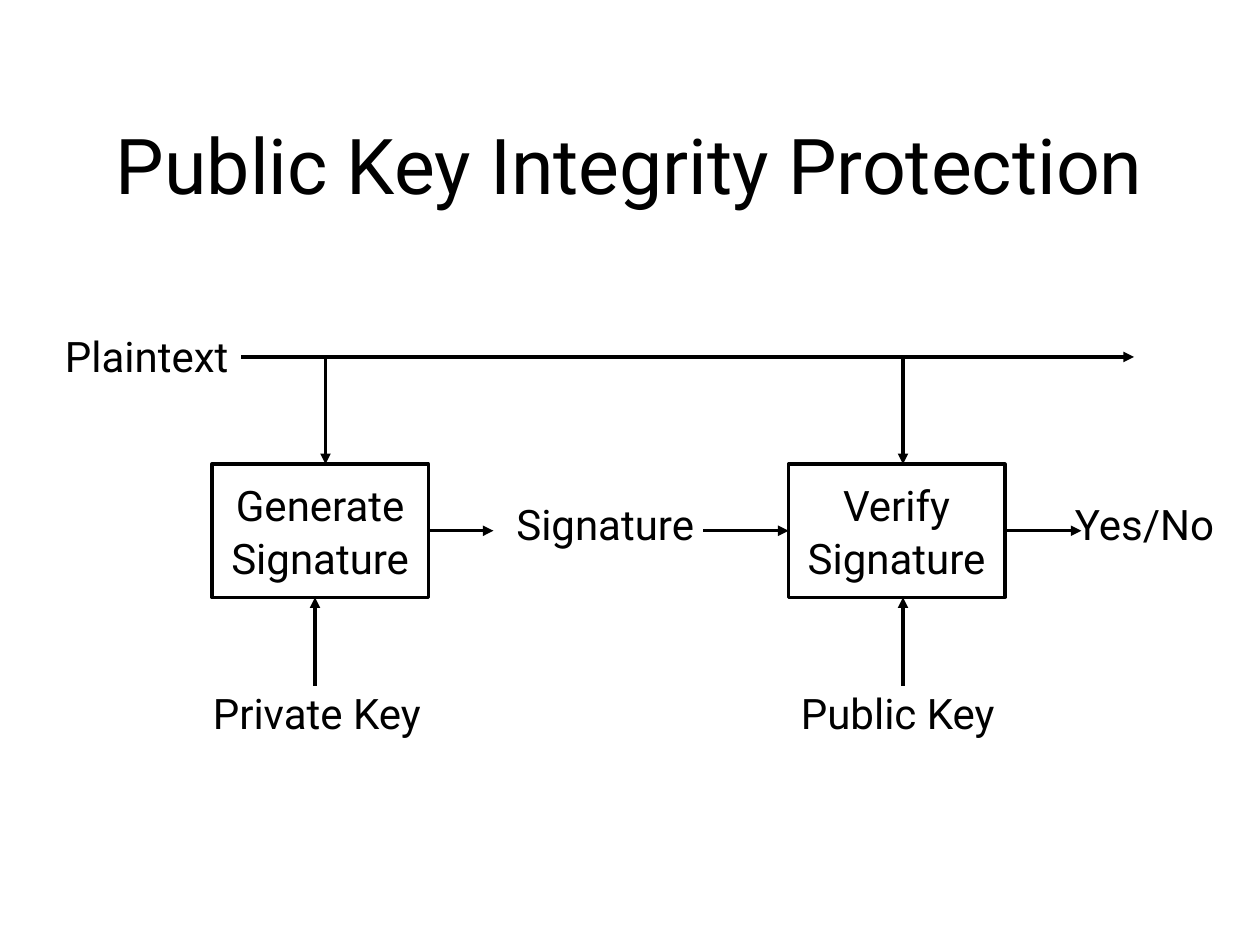
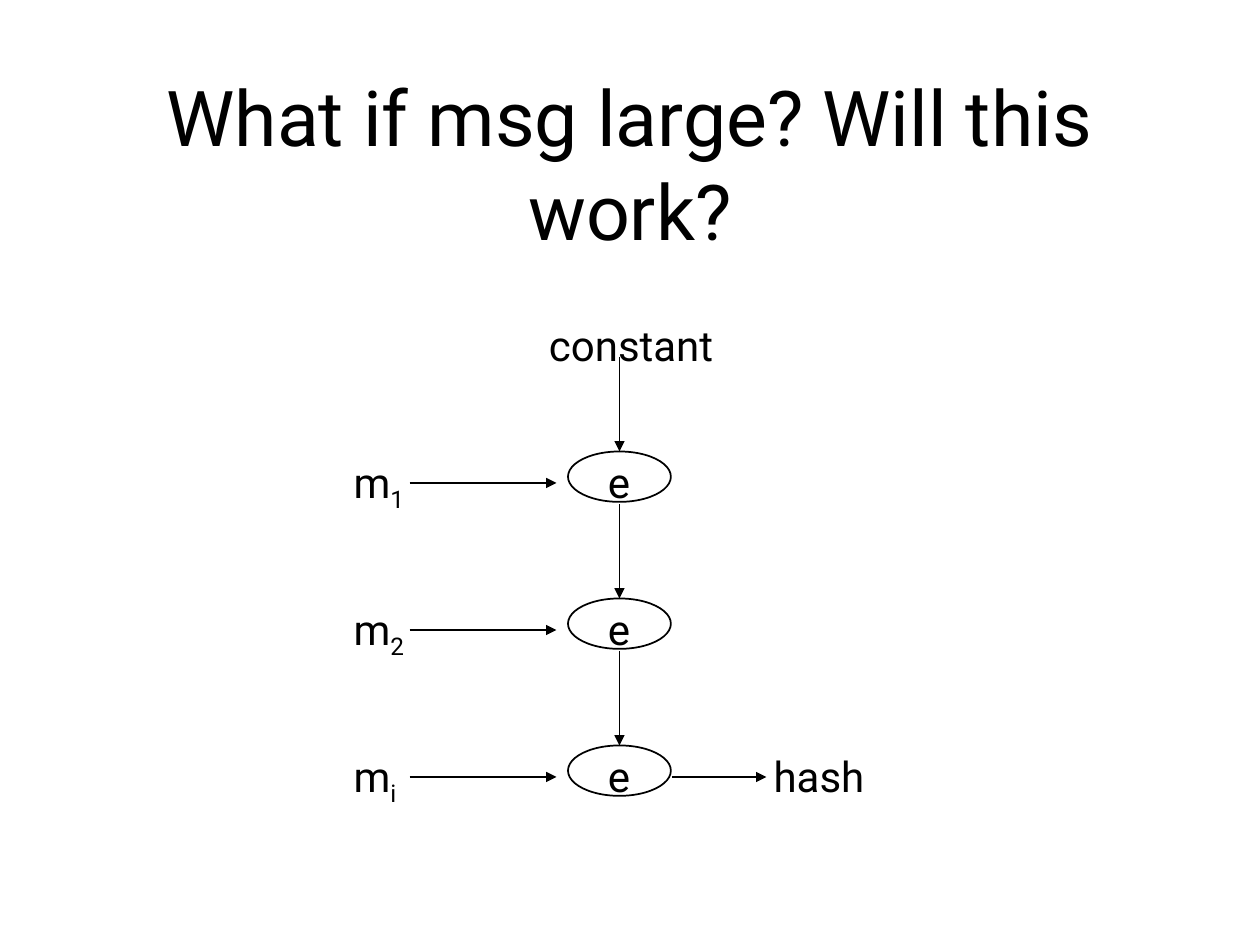
from lxml import etree
from pptx import Presentation
from pptx import util as u
from pptx.dml.color import RGBColor
from pptx.enum import shapes, text
from pptx.oxml.ns import qn

COLORS = {"ink": "000000", "paper": "FFFFFF"}
FONT = "Roboto"
TITLE_SIZE, LABEL_SIZE = 44, 24
COLS, ROWS = 120, 90
LEFT, CENTER = text.PP_ALIGN.LEFT, text.PP_ALIGN.CENTER


def rgb(name):
    return RGBColor.from_string(COLORS[name])


def assign(obj, **values):
    for key, value in values.items():
        setattr(obj, key, value)


class Deck:
    def __init__(self):
        self.prs = Presentation()
        assign(self.prs, slide_width=u.Inches(10), slide_height=u.Inches(7.5))
        self.s = None

    def x(self, cols):
        return round(self.prs.slide_width * cols / COLS)

    def y(self, rows):
        return round(self.prs.slide_height * rows / ROWS)

    def box(self, col, row, width, height):
        return self.x(col), self.y(row), self.x(width), self.y(height)

    def put_text(self, tf, lines, size, align, sub=""):
        for i, line in enumerate(lines):
            p = tf.paragraphs[0] if i == 0 else tf.add_paragraph()
            assign(p, alignment=align, line_spacing=1.06 if i else 1.01)
            for part in filter(None, (line, sub)):
                r = p.add_run()
                r.text = part
                assign(r.font, name=FONT, size=u.Pt(size))
                r.font.color.rgb = rgb("ink")
                if part == sub:
                    r._r.get_or_add_rPr().set("baseline", "-25000")

    def slide(self, title, row, height):
        self.s = self.prs.slides.add_slide(self.prs.slide_layouts[5])
        self.s.background.fill.solid()
        self.s.background.fill.fore_color.rgb = rgb("paper")
        sp = self.s.shapes.title
        sp.left, sp.top, sp.width, sp.height = self.box(9, row, 102, height)
        assign(sp.text_frame, word_wrap=True, auto_size=text.MSO_AUTO_SIZE.NONE,
               vertical_anchor=text.MSO_ANCHOR.MIDDLE)
        self.put_text(sp.text_frame, [title], TITLE_SIZE, CENTER)

    def label(self, words, col, row, width, sub=""):
        sp = self.s.shapes.add_textbox(*self.box(col, row, width, 6.7 if sub else 6.1))
        assign(sp.text_frame, word_wrap=False,
               auto_size=text.MSO_AUTO_SIZE.SHAPE_TO_FIT_TEXT)
        self.put_text(sp.text_frame, [words], LABEL_SIZE, LEFT, sub)

    def shape(self, kind, col, row, width, height, weight, lines=()):
        sp = self.s.shapes.add_shape(kind, *self.box(col, row, width, height))
        sp.shadow.inherit = False
        sp.fill.background()
        sp.line.color.rgb = rgb("ink")
        sp.line.width = u.Pt(weight)
        assign(sp.text_frame, word_wrap=False,
               vertical_anchor=text.MSO_ANCHOR.MIDDLE)
        self.put_text(sp.text_frame, lines, LABEL_SIZE, CENTER)
        return sp

    def arrow(self, x1, y1, x2, y2, weight, begin=None, end=None):
        c = self.s.shapes.add_connector(
            shapes.MSO_CONNECTOR.STRAIGHT,
            self.x(x1), self.y(y1), self.x(x2), self.y(y2))
        if begin:
            c.begin_connect(*begin)
        if end:
            c.end_connect(*end)
        c.line.color.rgb = rgb("ink")
        c.line.width = u.Pt(weight)
        spPr = c._element.spPr
        etree.SubElement(spPr.find(qn("a:ln")), qn("a:tailEnd"), type="triangle")
        etree.SubElement(spPr, qn("a:effectLst"))


def integrity_slide(d):
    d.slide("Public Key Integrity Protection", 6, 19)
    weight, top, height, width = 2, 44.2, 12.7, 20.6
    middle, bottom, wire = top + height / 2, top + height, 34
    steps = []
    for verb, col in (("Generate", 20.2), ("Verify", 75.1)):
        sp = d.shape(shapes.MSO_SHAPE.ROUNDED_RECTANGLE, col, top, width, height,
                     weight, [verb, "Signature"])
        sp.adjustments[0] = 0
        steps.append(sp)
    generate, verify = steps

    for words, col, row, label_width in (
            ("Signature", 48, 46.8, 20.6), ("Plaintext", 5, 30.8, 18.8),
            ("Yes/No", 101.2, 46.8, 15.8), ("Private Key", 19.1, 64.8, 23.3),
            ("Public Key", 75.1, 64.8, 21.6)):
        d.label(words, col, row, label_width)

    d.arrow(23, wire, 108, wire, weight)
    for drop, rise in ((31, 30), (86, 86)):
        d.arrow(drop, wire, drop, top, weight)
        d.arrow(rise, 65.3, rise, bottom, weight)
    d.arrow(41, middle, 47, middle, weight, begin=(generate, 3))
    d.arrow(67, middle, 75, middle, weight, end=(verify, 1))
    d.arrow(96, middle, 103, middle, weight, begin=(verify, 3))


def chain_slide(d):
    d.slide("What if msg large? Will this work?", 5.8, 19.3)
    weight, center, width = 1, 59, 9.8
    d.label("constant", 51.1, 29.8, 18.7)
    for i, sub in enumerate("12i"):
        top = 43 + 14 * i
        d.arrow(center, top - 9, center, top, weight)
        d.shape(shapes.MSO_SHAPE.OVAL, center - width / 2, top, width, 4.8, weight)
        d.label("e", 56.7, top - 0.2, 4.7)
        d.label("m", 32.5, top - 0.2, 7.4, sub)
        d.arrow(39, top + 3, 53, top + 3, weight)
    d.arrow(64, top + 3, 73, top + 3, weight)
    d.label("hash", 72.5, top - 0.2, 11.5)


def main():
    d = Deck()
    integrity_slide(d)
    chain_slide(d)
    d.prs.save("out.pptx")


if __name__ == "__main__":
    main()
